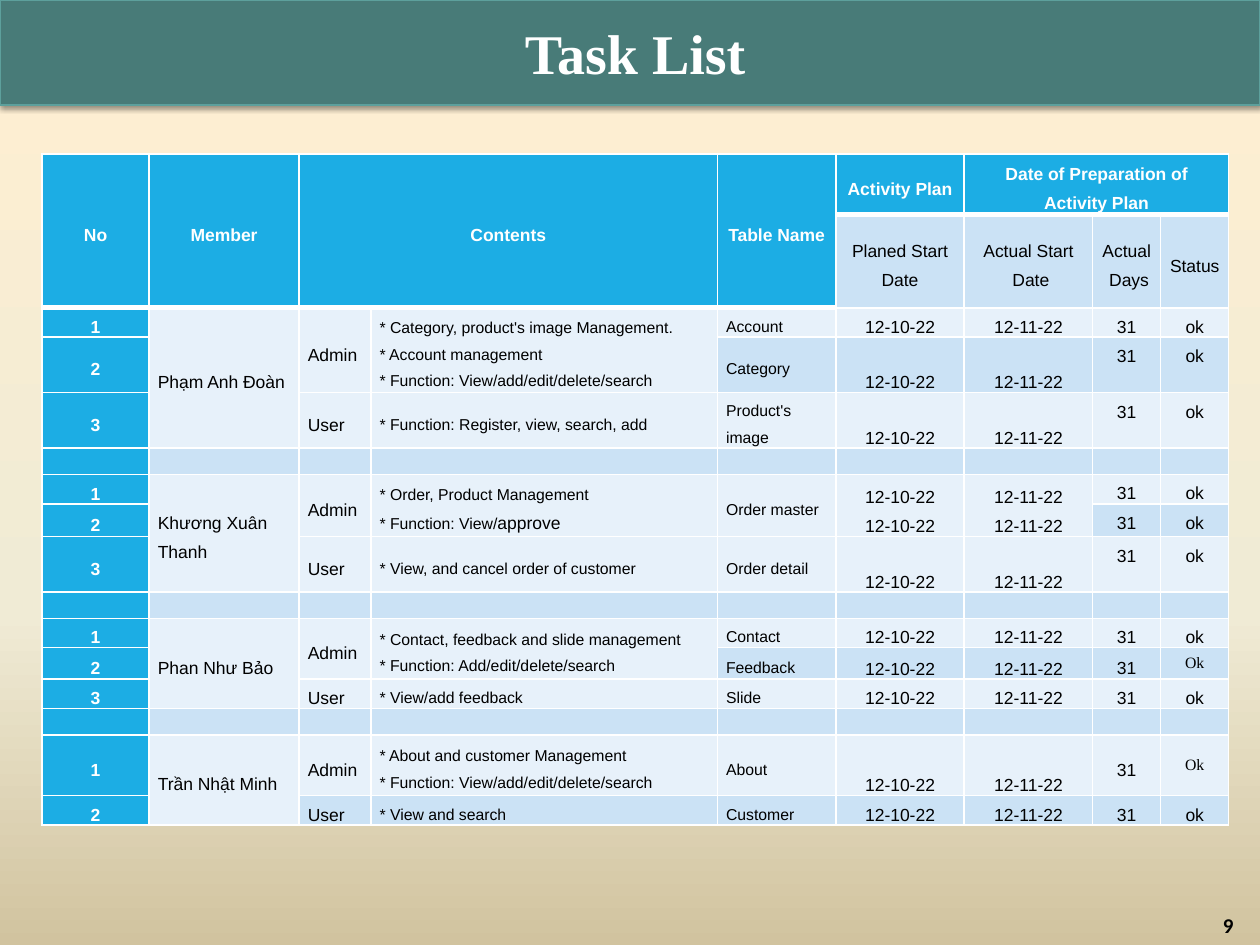
from lxml import etree
from pptx import Presentation
from pptx.dml.color import RGBColor
from pptx.enum.shapes import MSO_SHAPE
from pptx.enum.text import MSO_ANCHOR, PP_ALIGN
from pptx.oxml.ns import qn
from pptx.util import Pt

RECT = MSO_SHAPE.RECTANGLE
TOP, MID, LOW = MSO_ANCHOR.TOP, MSO_ANCHOR.MIDDLE, MSO_ANCHOR.BOTTOM
LEFT, MIDST, RIGHT = PP_ALIGN.LEFT, PP_ALIGN.CENTER, PP_ALIGN.RIGHT

HUES = {
    "band": "487B78", "edge": "5DA09C", "head": "1CADE4",
    "pale": "E7F1FA", "tint": "CBE2F5", "white": "FFFFFF", "black": "000000",
}
SKY = [(0, "FFEFD1"), (65, "F0EBD5"), (100, "D1C39F")]
SERIF = "Times New Roman"


def hue(name):
    return RGBColor.from_string(HUES[name])


def node(root, tag, **attrs):
    return etree.SubElement(root, qn(tag), {k: str(v) for k, v in attrs.items()})


def add_run(para, text, size=10, font="Arial", color="black", bold=False):
    run = para.add_run()
    run.text = text
    run.font.size, run.font.name, run.font.bold = Pt(size), font, bold
    run.font.color.rgb = hue(color)


def write(frame, text, align=LEFT, anchor=MID, space=None, **look):
    frame.vertical_anchor = anchor
    for i, line in enumerate(text.split("\n")):
        para = frame.add_paragraph() if i else frame.paragraphs[0]
        para.alignment, para.line_spacing = align, space
        add_run(para, line, **look)


class Deck:
    def __init__(self):
        self.show = Presentation()
        self.show.slide_width, self.show.slide_height = Pt(720), Pt(540)
        self.slide = self.show.slides.add_slide(self.show.slide_layouts[5])

    def back(self, stops):
        fill = self.slide.background.fill
        fill.gradient()
        fill.gradient_angle = 270
        ramp = self.slide.element.find(".//" + qn("a:gsLst"))
        for old in list(ramp):
            ramp.remove(old)
        for pos, code in stops:
            node(node(ramp, "a:gs", pos=pos * 1000), "a:srgbClr", val=code)

    def band(self, *box):
        shape = self.slide.shapes.add_shape(RECT, *map(Pt, box))
        shape.fill.solid()
        shape.fill.fore_color.rgb = hue("band")
        shape.line.color.rgb, shape.line.width = hue("edge"), Pt(0.75)
        shape.shadow.inherit = False
        glow = shape.element.spPr.find(qn("a:effectLst"))
        cast = node(glow, "a:outerShdw", blurRad=Pt(3.1), dist=Pt(1.6),
                    dir=5400000, rotWithShape=0)
        node(node(cast, "a:srgbClr", val=HUES["black"]), "a:alpha", val=38000)
        # The band sits behind the title
        self.slide.shapes.element.insert(2, shape.element)

    def title(self, text, *box, **look):
        shape = self.slide.shapes.title
        shape.left, shape.top, shape.width, shape.height = map(Pt, box)
        write(shape.text_frame, text, **look)

    def label(self, text, *box, **look):
        frame = self.slide.shapes.add_textbox(*map(Pt, box)).text_frame
        frame.word_wrap = True
        write(frame, text, **look)

    def table(self, left, top, cols, rows):
        box = map(Pt, (left, top, sum(cols), sum(rows)))
        grid = self.slide.shapes.add_table(len(rows), len(cols), *box).table
        for col, wide in zip(grid.columns, cols):
            col.width = Pt(wide)
        for row, tall in zip(grid.rows, rows):
            row.height = Pt(tall)
        return grid

    def cell(self, cell, fill, thick, text, **look):
        cell.margin_left = cell.margin_right = Pt(5)
        cell.margin_top = cell.margin_bottom = 0
        props = cell._tc.get_or_add_tcPr()
        for side in "LRTB":
            wide = Pt(3 if side in thick else 1)
            line = node(props, "a:ln" + side, w=wide)
            node(node(line, "a:solidFill"), "a:srgbClr", val=HUES["white"])
        cell.fill.solid()
        cell.fill.fore_color.rgb = hue(fill)
        if text:
            cell.vertical_anchor = look.pop("anchor")
            write(cell.text_frame, text, anchor=None, **look)
        else:
            node(cell.text_frame.paragraphs[0]._p, "a:endParaRPr", sz=900)


# Table content: number, member, role, contents, table name, dates, days, status
START, END = "12-10-22", "12-11-22"
COLS = [61.2, 85.7, 41, 198, 67.7, 73.4, 73.4, 38.9, 38.9]
ROWS = [34.6, 53.3, 16.6, 31.7, 31.7, 15.1, 16.6, 18.7,
        31.7, 15.1, 16.6, 18, 16.6, 15.1, 34.6, 16.6]
GAP = [""] * 9


def task(no, who, role, work, name, state="ok", count=1):
    dates = ["\n".join([day] * count) for day in (START, END)]
    return [no, who, role, work, name, *dates, "31", state]


TASKS = [
    ["No", "Member", "Contents", "", "Table Name", "Activity Plan",
     "Date of Preparation of Activity Plan", "", ""],
    ["", "", "", "", "", "Planed Start Date", "Actual Start\n Date",
     "Actual\n Days", "Status"],
    task("1", "Phạm Anh Đoàn", "Admin",
         "* Category, product's image Management.\n* Account management\n"
         "* Function: View/add/edit/delete/search", "Account"),
    task("2", "", "", "", "Category"),
    task("3", "", "User", "* Function: Register, view, search, add",
         "Product's image"),
    GAP,
    task("1", "Khương Xuân Thanh", "Admin",
         "* Order, Product Management\n* Function: View/", "Order master", count=2),
    task("2", "", "", "", "", count=0),
    task("3", "", "User", "* View, and cancel order of customer", "Order detail"),
    GAP,
    task("1", "Phan Như Bảo", "Admin",
         "* Contact, feedback and slide management\n"
         "* Function: Add/edit/delete/search", "Contact"),
    task("2", "", "", "", "Feedback", "Ok"),
    task("3", "", "User", "* View/add feedback", "Slide"),
    GAP,
    task("1", "Trần Nhật Minh", "Admin",
         "* About and customer Management\n"
         "* Function: View/add/edit/delete/search", "About", "Ok"),
    task("2", "", "User", "* View and search", "Customer"),
]
# Merged areas: row, column, rows down, columns across
SPANS = [(0, 0, 2, 1), (0, 1, 2, 1), (0, 2, 2, 2), (0, 4, 2, 1), (0, 6, 1, 3),
         (2, 1, 3, 1), (6, 1, 3, 1), (10, 1, 3, 1), (14, 1, 2, 1),
         *[(r, c, 2, 1) for r in (2, 6, 10) for c in (2, 3)],
         *[(6, c, 2, 1) for c in (4, 5, 6)]]
HIGH = (3, 4, 6, 7, 8)  # rows whose days and status sit at the top

deck = Deck()
deck.back(SKY)
deck.band(0, 0, 720, 60)
deck.title("Task List", 24, 6, 678, 48, align=MIDST, size=32, font=SERIF,
           color="white", bold=True)

# Task table
grid = deck.table(24, 88, COLS, ROWS)
for r, c, down, across in SPANS:
    grid.cell(r, c).merge(grid.cell(r + down - 1, c + across - 1))
for r, line in enumerate(TASKS):
    for c, text in enumerate(line):
        head = r == 0 or c == 0 or (r == 1 and c < 5)
        fill = "head" if head else "tint" if r % 2 else "pale"
        look = {"align": MIDST if r < 2 or c in (0, 5, 6, 7, 8) else LEFT,
                "anchor": MID, "space": 1.5, "bold": head,
                "color": "white" if head else "black",
                "size": 9 if r > 1 and c in (3, 4) else 10}
        if r > 1 and c in (5, 6):
            look["anchor"] = LOW
        elif c > 6 and r in HIGH:
            look["anchor"] = TOP
        if text == "Ok":
            look.update(size=9, font=SERIF, space=None)
        thick = "B" if r == 0 or (r == 1 and c < 5) else ""
        if (r == 1 and c > 4) or (r == 2 and c < 5):
            thick += "T"
        deck.cell(grid.cell(r, c), fill, thick, text, **look)
add_run(grid.cell(6, 3).text_frame.paragraphs[1], "approve")

# Page number
deck.label("9", 8.6, 522, 703.4, 13, align=RIGHT, size=12, font="Calibri",
           bold=True)
deck.show.save("out.pptx")
